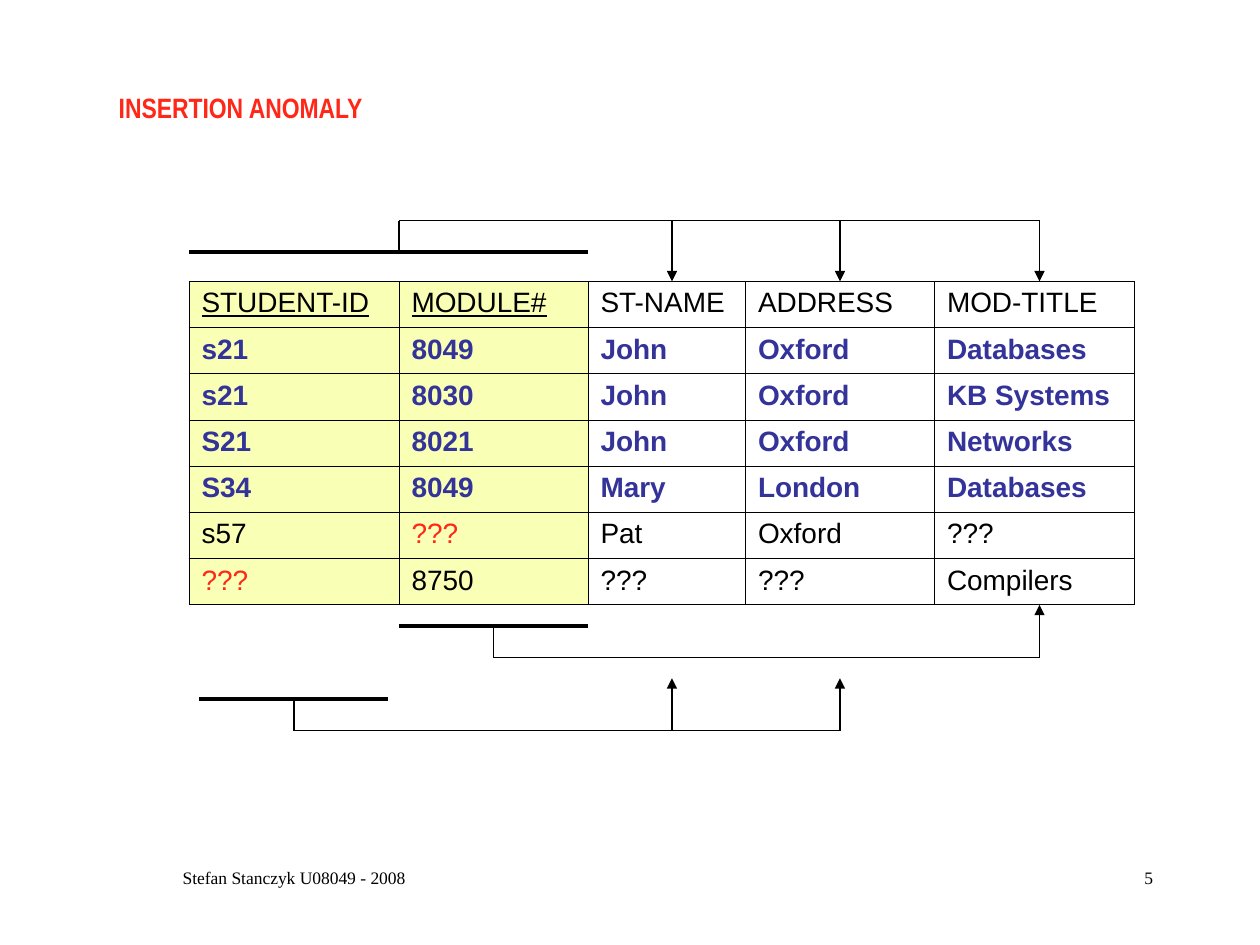
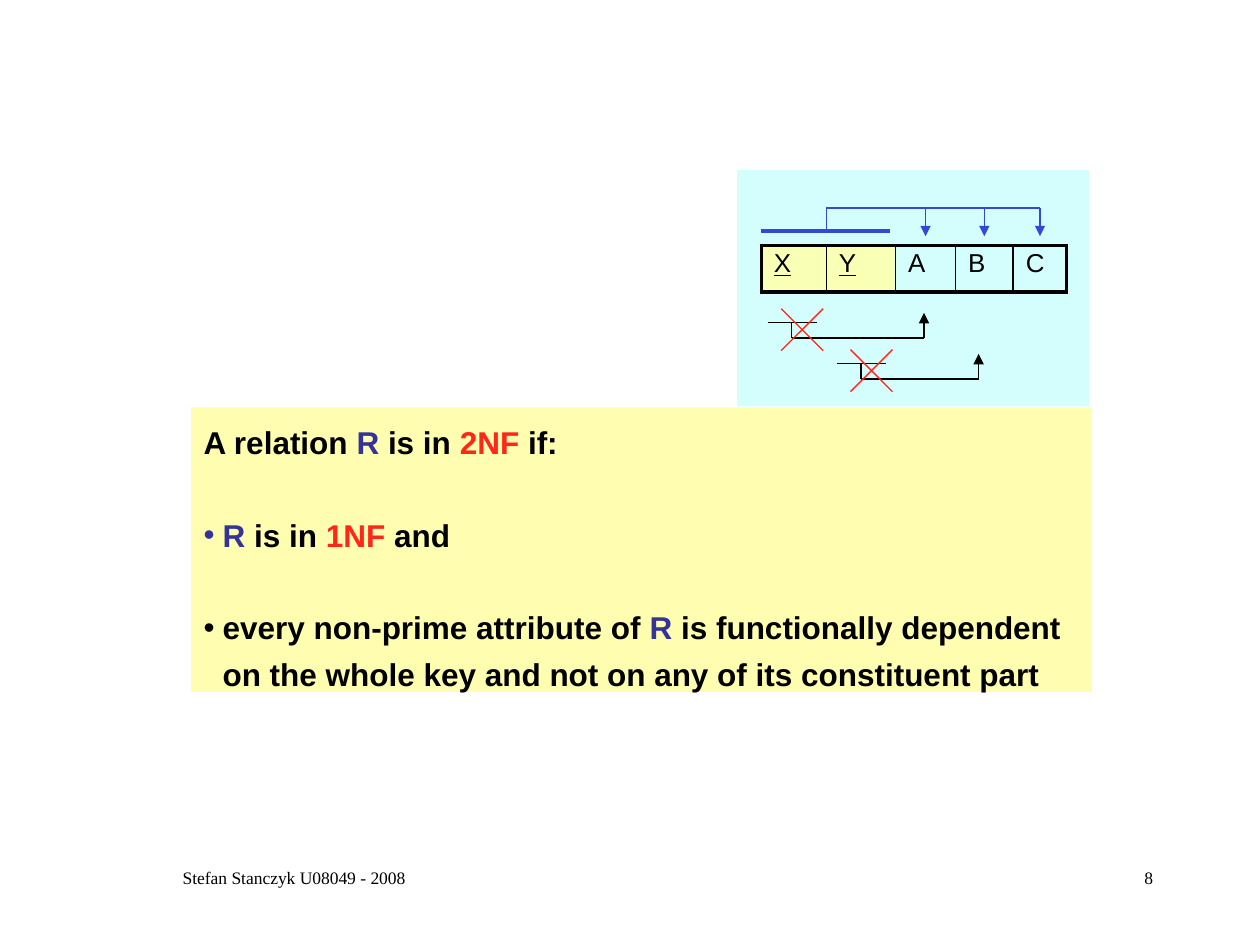
from dataclasses import dataclass
from itertools import accumulate

from lxml import etree
from pptx import Presentation
from pptx.dml.color import RGBColor
from pptx.enum.shapes import MSO_CONNECTOR, MSO_SHAPE
from pptx.enum.text import MSO_ANCHOR, MSO_AUTO_SIZE, PP_ALIGN
from pptx.oxml import parse_xml
from pptx.oxml.ns import nsdecls, qn
from pptx.util import Inches, Pt

STRAIGHT = MSO_CONNECTOR.STRAIGHT
RECTANGLE = MSO_SHAPE.RECTANGLE
TOP = MSO_ANCHOR.TOP
NO_FIT = MSO_AUTO_SIZE.NONE
LEFT, CENTER, RIGHT = PP_ALIGN.LEFT, PP_ALIGN.CENTER, PP_ALIGN.RIGHT

BLACK, RED, NAVY, BLUE = "000000", "FF2718", "333399", "324AD3"
KEY_FILL, PANEL_FILL, RULE_FILL = "F9FFB5", "D4FDFD", "FFFDB0"
SANS, NARROW, SERIF = "Arial", "Arial Narrow", "Times New Roman"
FOOTER = "Stefan Stanczyk U08049 - 2008"

GRID_COLUMNS, GRID_ROWS = 120, 90
UNKNOWN = "???"
KEY_COLUMNS = 2


@dataclass
class Area:
    """A rectangle in grid columns and rows."""
    left: float
    top: float
    width: float
    height: float

    def lengths(self) -> list[int]:
        return [grid(n) for n in (self.left, self.top, self.width, self.height)]


@dataclass
class Relation:
    """A table whose first columns form the key."""
    left: float
    top: float
    widths: list[float]
    row_height: float
    size: float = 16
    inner_line: float = 0.45
    outer_line: float = 0.45
    line_spacing: float = 1.0


@dataclass
class Dependency:
    """A key bar, a stem to a rail, and arrows from the rail to attributes."""
    key_left: float
    key_right: float
    key_row: float
    stem: float
    rail_row: float
    arrows: list[float]
    tip_row: float
    color: str = BLACK
    key_line: float = 2.25


def grid(units: float) -> int:
    """Turn grid units into a length; the unit is the same both ways."""
    return Inches(units * 10 / GRID_COLUMNS)


def rgb(color: str) -> RGBColor:
    return RGBColor.from_string(color)


def add_span(para, text: str, *, size: float, color: str = BLACK, font: str = SANS,
             bold: bool = False, underline: bool = False) -> None:
    span = para.add_run()
    span.text = text
    span.font.name, span.font.size = font, Pt(size)
    span.font.bold, span.font.underline = bold, underline
    span.font.color.rgb = rgb(color)


def place(box, area: Area) -> None:
    """Set a placeholder's position and plain text layout."""
    box.left, box.top, box.width, box.height = area.lengths()
    frame = box.text_frame
    frame.word_wrap, frame.auto_size, frame.vertical_anchor = True, NO_FIT, TOP


def add_footer(page, number: int) -> None:
    for text, area, align in (
        (FOOTER, Area(9, 82, 38, 6), CENTER),
        (str(number), Area(86, 82, 25, 6), RIGHT),
    ):
        box = page.shapes.add_textbox(*area.lengths())
        box.text_frame.word_wrap = True
        para = box.text_frame.paragraphs[0]
        para.alignment = align
        add_span(para, text, size=10, font=SERIF)


def add_line(page, start: tuple[float, float], end: tuple[float, float], *,
             color: str = BLACK, width: float = 0.75, arrow: bool = False) -> None:
    line = page.shapes.add_connector(STRAIGHT, *map(grid, start + end))
    line.line.color.rgb, line.line.width = rgb(color), Pt(width)
    if arrow:
        etree.SubElement(line.line._get_or_add_ln(), qn("a:tailEnd"), type="triangle")
    etree.SubElement(line._element.spPr, qn("a:effectLst"))


def add_dependency(page, link: Dependency) -> None:
    color = link.color
    add_line(page, (link.key_left, link.key_row), (link.key_right, link.key_row),
             color=color, width=link.key_line)
    add_line(page, (link.stem, link.key_row), (link.stem, link.rail_row), color=color)
    add_line(page, (link.stem, link.rail_row), (link.arrows[-1], link.rail_row), color=color)
    for column in link.arrows:
        add_line(page, (column, link.rail_row), (column, link.tip_row), color=color, arrow=True)


def add_cross(page, column: float, row: float, reach: float = 2) -> None:
    for slope in (1, -1):
        add_line(page, (column - reach, row - slope * reach),
                 (column + reach, row + slope * reach), color=RED)


def set_border(cell, side: str, width: float) -> None:
    cell._tc.get_or_add_tcPr().append(parse_xml(
        f'<a:ln{side} {nsdecls("a")} w="{Pt(width)}"><a:solidFill>'
        f'<a:srgbClr val="{BLACK}"/></a:solidFill></a:ln{side}>'))


def add_relation(page, relation: Relation, rows: list[list[str]], *,
                 header: bool = False, sample: bool = False) -> None:
    """Draw rows; a header underlines its key, sample rows are bold navy."""
    area = Area(relation.left, relation.top, sum(relation.widths),
                relation.row_height * len(rows))
    table = page.shapes.add_table(len(rows), len(relation.widths), *area.lengths()).table
    table.first_row = table.horz_banding = False
    for column, width in zip(table.columns, relation.widths):
        column.width = grid(width)
    last_row, last_column = len(rows) - 1, len(relation.widths) - 1
    for r, texts in enumerate(rows):
        table.rows[r].height = grid(relation.row_height)
        for c, text in enumerate(texts):
            cell = table.cell(r, c)
            edges = {"L": c == 0, "R": c == last_column, "T": r == 0, "B": r == last_row}
            for side, outer in edges.items():
                set_border(cell, side, relation.outer_line if outer else relation.inner_line)
            is_key, is_header = c < KEY_COLUMNS, header and r == 0
            if is_key:
                cell.fill.solid()
                cell.fill.fore_color.rgb = rgb(KEY_FILL)
            else:
                cell.fill.background()
            is_sample = sample and not is_header
            color = NAVY if is_sample else RED if is_key and text == UNKNOWN else BLACK
            para = cell.text_frame.paragraphs[0]
            para.line_spacing = relation.line_spacing
            add_span(para, text, size=relation.size, color=color, bold=is_sample,
                     underline=is_key and is_header)


def add_insertion_anomaly(deck) -> None:
    page = deck.slides.add_slide(deck.slide_layouts.get_by_name("Title Only"))
    title = page.shapes.title
    place(title, Area(10.1, 8, 48, 4.4))
    para = title.text_frame.paragraphs[0]
    para.alignment = LEFT
    add_span(para, "INSERTION ANOMALY", size=16, color=RED, font=NARROW, bold=True)

    left, top, row_height = 18, 26.8, 4.4
    widths = [20, 18, 15, 18, 19]
    students = [
        ["STUDENT-ID", "MODULE#", "ST-NAME", "ADDRESS", "MOD-TITLE"],
        ["s21", "8049", "John", "Oxford", "Databases"],
        ["s21", "8030", "John", "Oxford", "KB Systems"],
        ["S21", "8021", "John", "Oxford", "Networks"],
        ["S34", "8049", "Mary", "London", "Databases"],
    ]
    incomplete = [
        ["s57", UNKNOWN, "Pat", "Oxford", UNKNOWN],
        [UNKNOWN, "8750", UNKNOWN, UNKNOWN, "Compilers"],
    ]
    add_relation(page, Relation(left, top, widths, row_height), students,
                 header=True, sample=True)
    for index, row in enumerate(incomplete, start=len(students)):
        add_relation(page, Relation(left, top + index * row_height, widths, row_height), [row])

    name, address, module_title = 64, 80, 99
    bottom = top + row_height * (len(students) + len(incomplete))
    for link in (
        Dependency(18, 56, 24, 38, 21, [name, address, module_title], top),
        Dependency(38, 56, bottom + 2, 47, bottom + 5, [module_title], bottom),
        Dependency(19, 37, bottom + 9, 28, bottom + 12, [name, address], bottom + 7),
    ):
        add_dependency(page, link)
    add_footer(page, 5)


def add_second_normal_form(deck) -> None:
    page = deck.slides.add_slide(deck.slide_layouts.get_by_name("Title and Content"))
    title = page.shapes.title
    title._element.getparent().remove(title._element)

    body = page.placeholders[1]
    place(body, Area(18.2, 38.8, 85.8, 27.1))
    body.fill.solid()
    body.fill.fore_color.rgb = rgb(RULE_FILL)
    statements = [
        [("A relation ", BLACK), ("R", NAVY), (" is in ", BLACK), ("2NF ", RED), ("if:", BLACK)],
        [("R", NAVY), (" is in ", BLACK), ("1NF", RED), (" and", BLACK)],
        [("every non-prime attribute of ", BLACK), ("R", NAVY),
         (" is functionally dependent on the whole key and not on any of its "
          "constituent part", BLACK)],
    ]
    frame = body.text_frame
    for index, spans in enumerate(statements):
        para = frame.add_paragraph() if index else frame.paragraphs[0]
        properties = para._p.get_or_add_pPr()
        indent = Inches(0.15) if index else 0
        properties.set("marL", str(indent))
        properties.set("indent", str(-indent))
        if not index:
            etree.SubElement(properties, qn("a:buNone"))
        para.line_spacing = 1.25
        para.space_before = Pt(25.9 if index else 0)
        for text, color in spans:
            add_span(para, text, size=18, color=color, bold=True)

    panel = page.shapes.add_shape(RECTANGLE, *Area(70.2, 16.2, 33.5, 22.5).lengths())
    panel.shadow.inherit = False
    panel.fill.solid()
    panel.fill.fore_color.rgb = rgb(PANEL_FILL)
    panel.line.fill.background()

    left, widths = 72.5, [6.2, 6.6, 5.7, 5.5, 5.1]
    schema = Relation(left, 23.4, widths, 4.4, size=14.8, inner_line=1,
                      outer_line=2.25, line_spacing=0.9)
    add_relation(page, schema, [["X", "Y", "A", "B", "C"]], header=True)

    edges = list(accumulate(widths, initial=left))
    targets = [(start + end) / 2 for start, end in zip(edges[2:], edges[3:])]
    add_dependency(page, Dependency(left, 84.8, 22, edges[1], 19.8, targets, 22.5, BLUE))
    for key_left, key_row, target in ((73.1, 30.7, 88), (79.7, 34.6, 93.2)):
        add_dependency(page, Dependency(
            key_left, key_left + 4.7, key_row, key_left + 2.3, key_row + 1.5,
            [target], key_row - 0.9, key_line=0.75))
        add_cross(page, key_left + 3.3, key_row + 0.7)
    add_footer(page, 8)


def main() -> None:
    deck = Presentation()
    deck.slide_width, deck.slide_height = grid(GRID_COLUMNS), grid(GRID_ROWS)
    add_insertion_anomaly(deck)
    add_second_normal_form(deck)
    deck.save("out.pptx")


if __name__ == "__main__":
    main()
